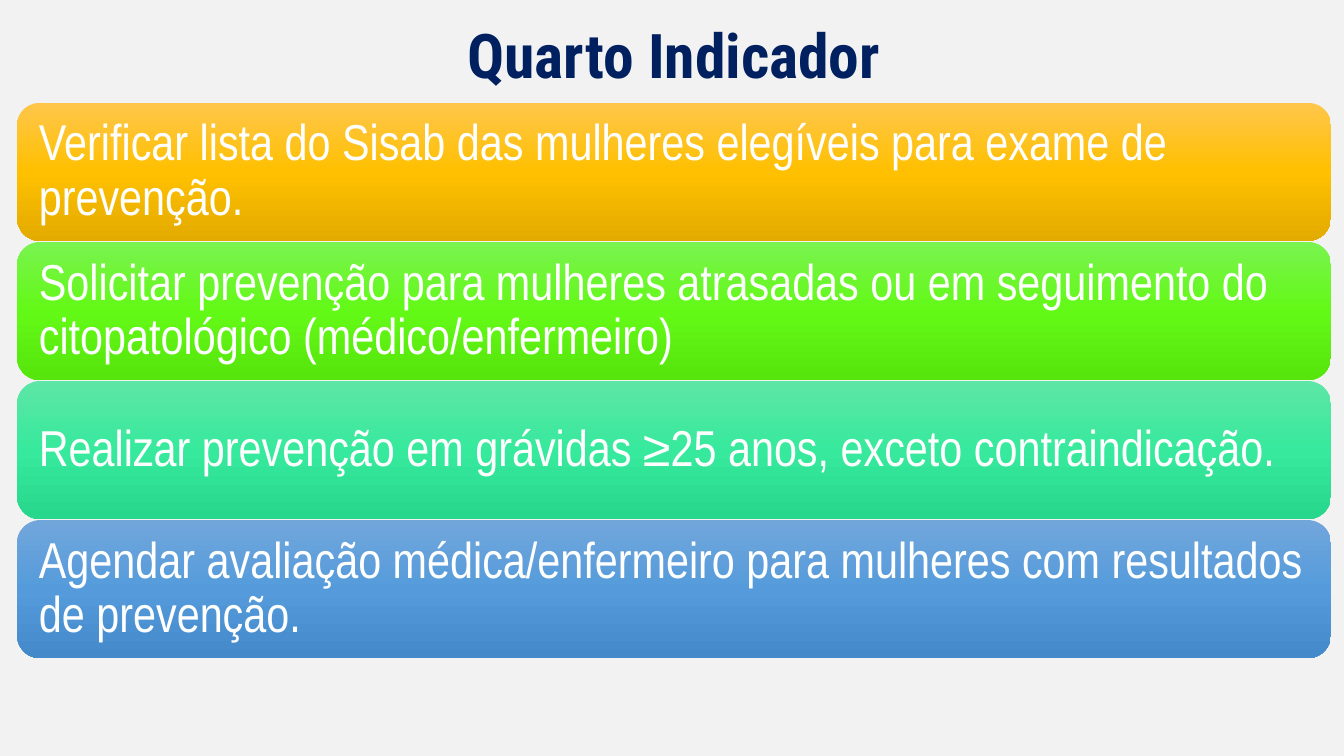
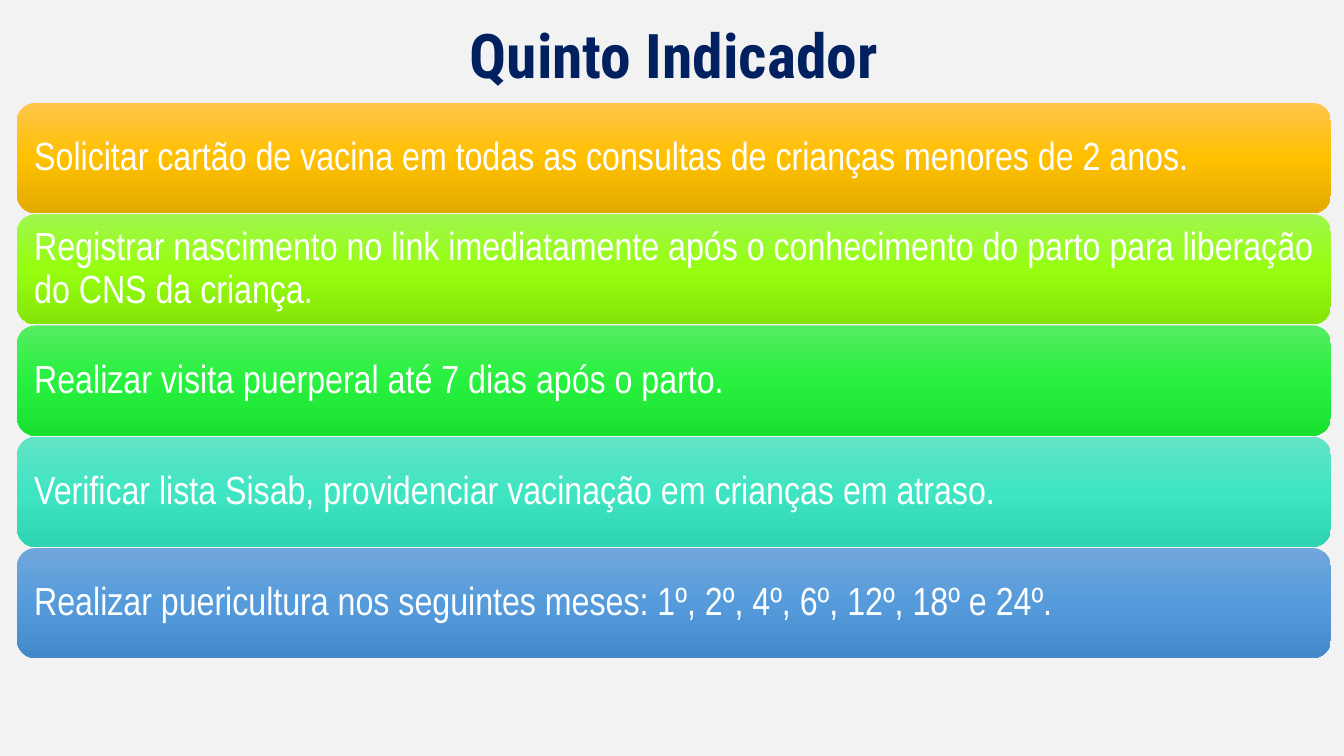
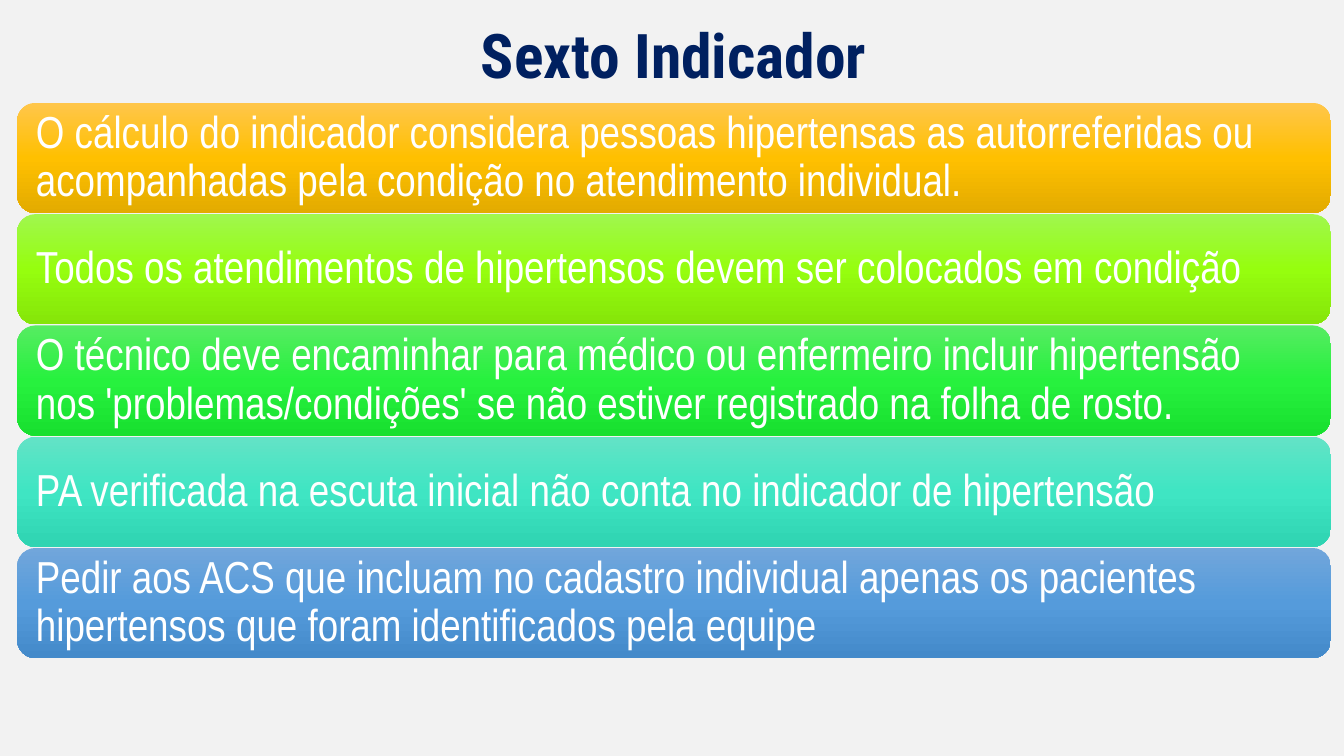
from copy import deepcopy

from pptx import Presentation
from pptx.dml.color import RGBColor
from pptx.enum.shapes import MSO_SHAPE
from pptx.enum.text import MSO_ANCHOR, PP_ALIGN
from pptx.oxml.ns import qn
from pptx.util import Inches, Pt

SLIDE_WIDTH, SLIDE_HEIGHT = 13.33, 7.5
LEFT, CONTENT_WIDTH = 0.17, 13.03
TITLE_TOP, TITLE_HEIGHT = 0.15, 0.86
BARS_TOP, BARS_BOTTOM, BAR_GAP = 1.02, 6.53, 0.01
INSET_PER_POINT = 1 / 240

COLORS = {"background": "F2F2F2", "title": "002060", "bar_text": "FFFFFF"}
GRADIENTS = {
    "amber": ("FFC64B", "FFC000", "E3AB00"),
    "grass": ("7AF350", "63F916", "56E50C"),
    "mint": ("5EE6A6", "37E99C", "27D88C"),
    "lime": ("A0F74E", "96FE0E", "85E509"),
    "green": ("56EC62", "27F13E", "18E02F"),
    "turquoise": ("63E3C6", "3FE5C3", "2FD4B2"),
    "blue": ("71A6DB", "559BDB", "448ACA"),
}
FOUR_BARS = ("amber", "grass", "mint", "blue")
FIVE_BARS = ("amber", "lime", "green", "turquoise", "blue")

INDICATORS = [
    ("Quarto Indicador", 36, FOUR_BARS, [
        "Verificar lista do Sisab das mulheres elegíveis para exame de prevenção.",
        "Solicitar prevenção para mulheres atrasadas ou em seguimento do "
        "citopatológico (médico/enfermeiro)",
        "Realizar prevenção em grávidas ≥25 anos, exceto contraindicação.",
        "Agendar avaliação médica/enfermeiro para mulheres com resultados de prevenção.",
    ]),
    ("Quinto Indicador", 28, FIVE_BARS, [
        "Solicitar cartão de vacina em todas as consultas de crianças menores de 2 anos.",
        "Registrar nascimento no link imediatamente após o conhecimento do parto "
        "para liberação do CNS da criança.",
        "Realizar visita puerperal até 7 dias após o parto.",
        "Verificar lista Sisab, providenciar vacinação em crianças em atraso.",
        "Realizar puericultura nos seguintes meses: 1º, 2º, 4º, 6º, 12º, 18º e 24º.",
    ]),
    ("Sexto Indicador", 32, FIVE_BARS, [
        "O cálculo do indicador considera pessoas hipertensas as autorreferidas ou "
        "acompanhadas pela condição no atendimento individual.",
        "Todos os atendimentos de hipertensos devem ser colocados em condição",
        "O técnico deve encaminhar para médico ou enfermeiro incluir hipertensão nos "
        "'problemas/condições' se não estiver registrado na folha de rosto.",
        "PA verificada na escuta inicial não conta no indicador de hipertensão",
        "Pedir aos ACS que incluam no cadastro individual apenas os pacientes "
        "hipertensos que foram identificados pela equipe",
    ]),
]


def write_text(shape, text, font_name, size, color, alignment, bold=False):
    frame = shape.text_frame
    frame.word_wrap = True
    frame.vertical_anchor = MSO_ANCHOR.MIDDLE
    paragraph = frame.paragraphs[0]
    paragraph.alignment = alignment
    paragraph.line_spacing = 0.9
    run = paragraph.add_run()
    run.text = text
    run.font.name = font_name
    run.font.size = Pt(size)
    run.font.bold = bold
    run.font.color.rgb = RGBColor.from_string(COLORS[color])


def fill_gradient(shape, colors):
    shape.fill.gradient()
    shape.fill.gradient_angle = 270
    stop_list = shape._element.spPr.find(".//" + qn("a:gsLst"))
    stop_list.insert(1, deepcopy(stop_list[0]))
    for index, (stop, color) in enumerate(zip(shape.fill.gradient_stops, colors)):
        stop.position = index / (len(colors) - 1)
        stop.color.rgb = RGBColor.from_string(color)


def add_title(slide, text):
    title = slide.shapes.add_textbox(
        Inches(LEFT), Inches(TITLE_TOP), Inches(CONTENT_WIDTH), Inches(TITLE_HEIGHT))
    write_text(title, text, "Roboto Condensed", 44, "title", PP_ALIGN.CENTER, bold=True)


def add_bar(slide, top, height, text, size, gradient):
    bar = slide.shapes.add_shape(
        MSO_SHAPE.ROUNDED_RECTANGLE,
        Inches(LEFT), Inches(top), Inches(CONTENT_WIDTH), Inches(height))
    bar.shadow.inherit = False
    bar.line.fill.background()
    fill_gradient(bar, GRADIENTS[gradient])
    frame = bar.text_frame
    inset = Inches(size * INSET_PER_POINT)
    frame.margin_left = frame.margin_right = inset
    frame.margin_top = frame.margin_bottom = inset
    write_text(bar, text, "Arial Narrow", size, "bar_text", PP_ALIGN.LEFT)


def add_bars(slide, texts, size, gradients):
    pitch = (BARS_BOTTOM - BARS_TOP + BAR_GAP) / len(texts)
    for row, (text, gradient) in enumerate(zip(texts, gradients)):
        add_bar(slide, BARS_TOP + row * pitch, pitch - BAR_GAP, text, size, gradient)


def main():
    presentation = Presentation()
    presentation.slide_width = Inches(SLIDE_WIDTH)
    presentation.slide_height = Inches(SLIDE_HEIGHT)
    background = presentation.slide_master.background.fill
    background.solid()
    background.fore_color.rgb = RGBColor.from_string(COLORS["background"])
    for title, size, gradients, texts in INDICATORS:
        slide = presentation.slides.add_slide(presentation.slide_layouts[6])
        add_title(slide, title)
        add_bars(slide, texts, size, gradients)
    presentation.save("out.pptx")


if __name__ == "__main__":
    main()
